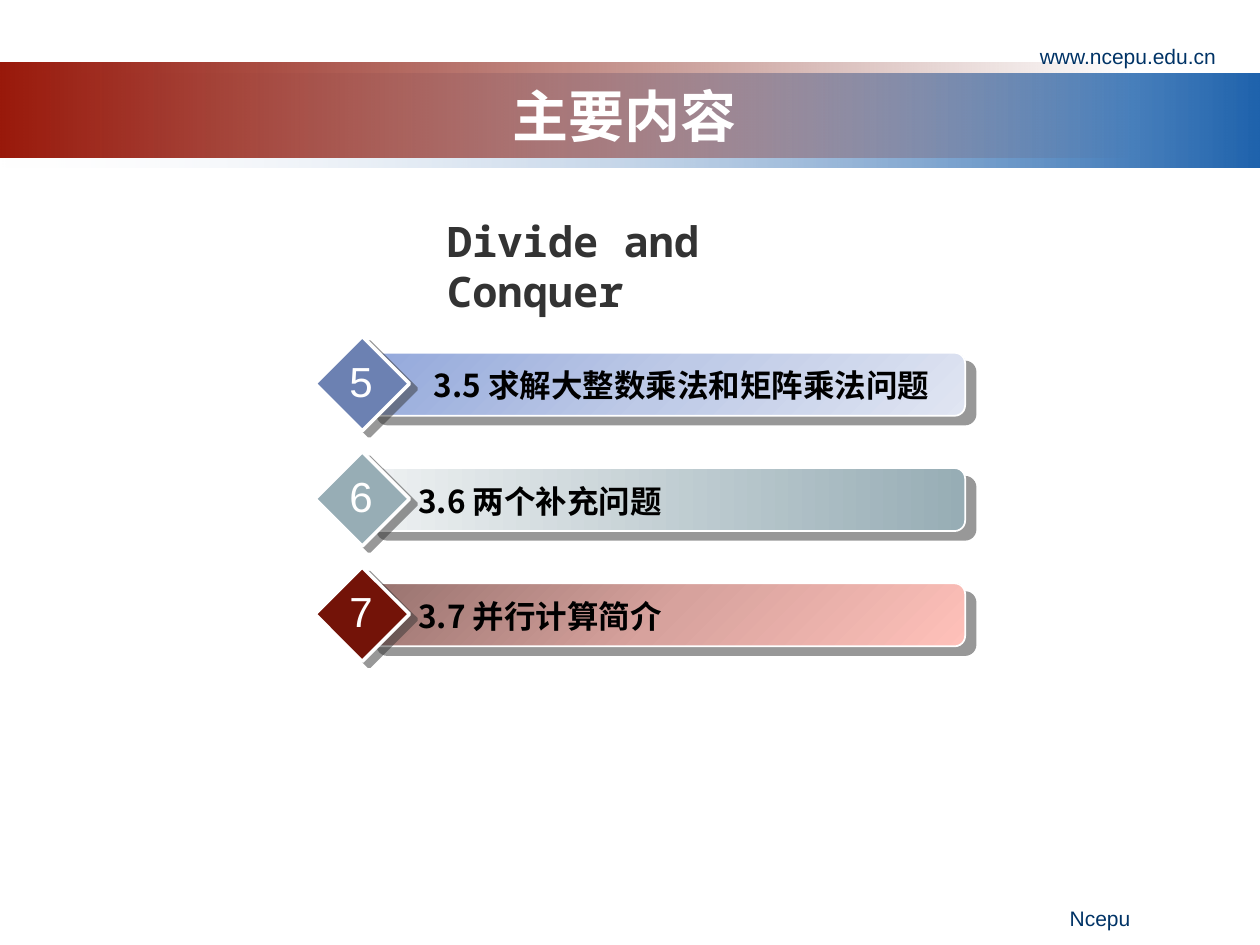
import lxml.etree
import pptx
import pptx.dml.color
import pptx.enum.shapes
import pptx.enum.text
import pptx.oxml.ns
import pptx.util

Inches = pptx.util.Inches
Pt = pptx.util.Pt
RGBColor = pptx.dml.color.RGBColor
Shape = pptx.enum.shapes.MSO_SHAPE
Align = pptx.enum.text.PP_ALIGN
Anchor = pptx.enum.text.MSO_ANCHOR
qn = pptx.oxml.ns.qn

WHITE = RGBColor(0xFF, 0xFF, 0xFF)
BLACK = RGBColor(0x00, 0x00, 0x00)
GREY = RGBColor(0x33, 0x33, 0x33)
NAVY = RGBColor(0x00, 0x33, 0x66)
BLUE = RGBColor(0x1F, 0x63, 0xAD)
PALE = RGBColor(0xF1, 0xF2, 0xF7)
RED = RGBColor(0x99, 0x19, 0x0B)
DARK = RGBColor(0x6D, 0x12, 0x08)
INDIGO = RGBColor(0x6C, 0x81, 0xB2)
TEAL = RGBColor(0x97, 0xAD, 0xB5)
MAROON = RGBColor(0x73, 0x13, 0x08)
BLUES = [RGBColor(0x93, 0xA8, 0xDB), RGBColor(0xBE, 0xCA, 0xE7), RGBColor(0xE0, 0xE5, 0xF2)]
TEALS = [RGBColor(0xEE, 0xF1, 0xF2), TEAL]
REDS = [RGBColor(0x97, 0x72, 0x6E), RGBColor(0xD7, 0xA2, 0x9D), RGBColor(0xFF, 0xC1, 0xBA)]

HAN = "Noto Sans CJK SC"
MONO = "Noto Sans Mono"
FIRST, LAST = 2.67, 4.5


def add_color(parent, color, alpha=100):
    node = lxml.etree.SubElement(parent, qn("a:srgbClr"), val=str(color))
    if alpha < 100:
        lxml.etree.SubElement(node, qn("a:alpha"), val=str(alpha * 1000))


class Deck:
    def __init__(self, slide, font="Arial", line=WHITE):
        self.slide = slide
        self.font = font
        self.line = line

    def shape(self, shapes, kind, left, top, width, height):
        item = shapes.add_shape(kind, Inches(left), Inches(top), Inches(width), Inches(height))
        item.shadow.inherit = False
        item.line.fill.background()
        return item

    def blend(self, item, colors, angle=0, alphas=(100, 100, 100)):
        item.fill.gradient()
        item.fill.gradient_angle = -angle % 360
        stops = next(item.element.iter(qn("a:gsLst")))
        for stop in list(stops):
            stops.remove(stop)
        step = 100000 // (len(colors) - 1)
        for i, (color, alpha) in enumerate(zip(colors, alphas)):
            stop = lxml.etree.SubElement(stops, qn("a:gs"), pos=str(i * step))
            add_color(stop, color, alpha)

    def edge(self, item, width, depth, angle):
        item.line.color.rgb = self.line
        item.line.width = Pt(width)
        effects = next(item.element.iter(qn("a:effectLst")))
        shade = lxml.etree.SubElement(
            effects, qn("a:outerShdw"), blurRad="0", dist=str(Pt(depth)),
            dir=str(angle * 60000), algn="ctr", rotWithShape="0")
        add_color(shade, GREY, 50)

    def band(self, left, top, width, colors, alphas):
        item = self.shape(self.slide.shapes, Shape.RECTANGLE, left, top, width, 0.75)
        self.blend(item, colors, alphas=alphas)

    def text(self, text, left, top, width, height, shapes=None, size=12, font=None,
             color=NAVY, bold=False, align=Align.LEFT, anchor=Anchor.TOP, wrap=True, inset=0.1):
        shapes = shapes or self.slide.shapes
        box = shapes.add_textbox(Inches(left), Inches(top), Inches(width), Inches(height))
        frame = box.text_frame
        frame.word_wrap = wrap
        frame.vertical_anchor = anchor
        frame.margin_left = Inches(inset)
        para = frame.paragraphs[0]
        para.alignment = align
        run = para.add_run()
        run.text = text
        run.font.size = Pt(size)
        run.font.bold = bold
        run.font.color.rgb = color
        run.font.name = font or self.font
        props = run.font.name and next(box.element.iter(qn("a:rPr")))
        lxml.etree.SubElement(props, qn("a:ea"), typeface=run.font.name)

    def row(self, top, mark, label, tint, colors, angle, width=3.75, align=Align.LEFT, inset=0.16):
        shapes = self.slide.shapes.add_group_shape().shapes
        bar = self.shape(shapes, Shape.ROUNDED_RECTANGLE, 2.91, top + 0.13, 4.75, 0.5)
        self.blend(bar, colors, angle)
        self.edge(bar, 1, 7.8, 40)
        gem = self.shape(shapes, Shape.DIAMOND, 2.5, top, 0.75, 0.75)
        gem.fill.solid()
        gem.fill.fore_color.rgb = tint
        self.edge(gem, 2, 5, 37)
        self.text(label, 3.16, top + 0.19, width, 0.4, shapes, size=18, font=HAN,
                  color=BLACK, bold=True, align=align, inset=inset)
        self.text(mark, 2.67, top + 0.1, 0.39, 0.5, shapes, size=24, color=WHITE,
                  align=Align.CENTER, wrap=False)


def main():
    show = pptx.Presentation()
    show.slide_width = Inches(10)
    show.slide_height = Inches(7.5)
    deck = Deck(show.slides.add_slide(show.slide_layouts[6]))

    deck.band(0, 0.58, 10, [PALE, BLUE], (0, 100))
    deck.band(0, 0.5, 9, [RED, DARK], (100, 0))
    deck.text("主要内容", 0.92, 0.6, 8.08, 0.62, size=32, font=HAN, color=WHITE, bold=True,
              align=Align.CENTER, anchor=Anchor.MIDDLE)
    deck.text("www.ncepu.edu.cn", 7.42, 0.3, 2.33, 0.27, align=Align.RIGHT)
    deck.text("Ncepu", 5.9, 7.14, 3.17, 0.3, align=Align.RIGHT)
    deck.text("Divide and Conquer", 3.45, 1.66, 3.5, 0.5, size=24, font=MONO, color=GREY, bold=True)

    wide = dict(width=4.5, align=Align.CENTER, inset=0.1)
    rows = [
        ("5", "3.5 求解大整数乘法和矩阵乘法问题", INDIGO, BLUES, 45, wide),
        ("6", "3.6 两个补充问题", TEAL, TEALS, 0, {}),
        ("7", "3.7 并行计算简介", MAROON, REDS, 45, {}),
    ]
    pitch = (LAST - FIRST) / (len(rows) - 1)
    for i, (mark, label, tint, colors, angle, style) in enumerate(rows):
        deck.row(FIRST + i * pitch, mark, label, tint, colors, angle, **style)

    show.save("out.pptx")


if __name__ == "__main__":
    main()
